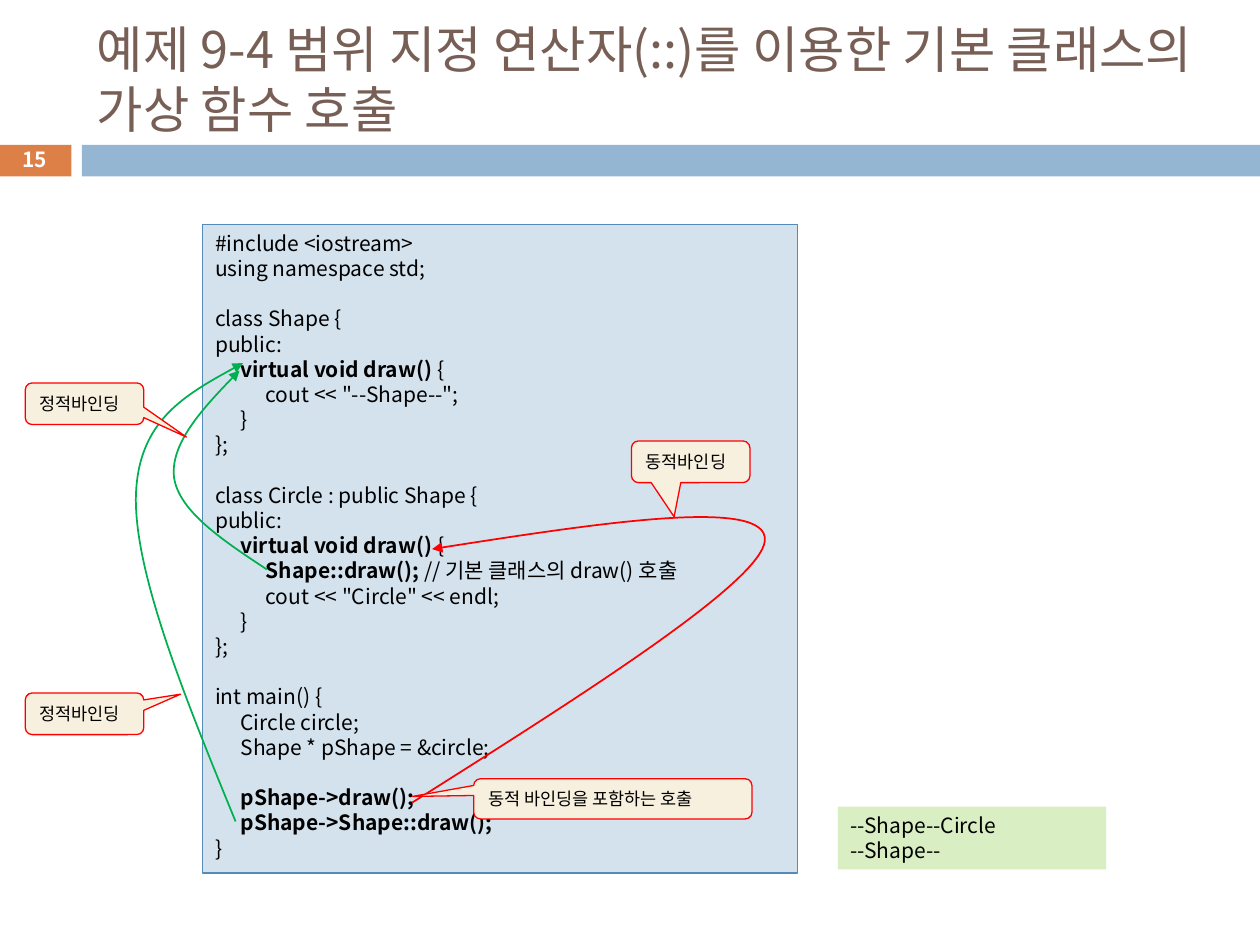
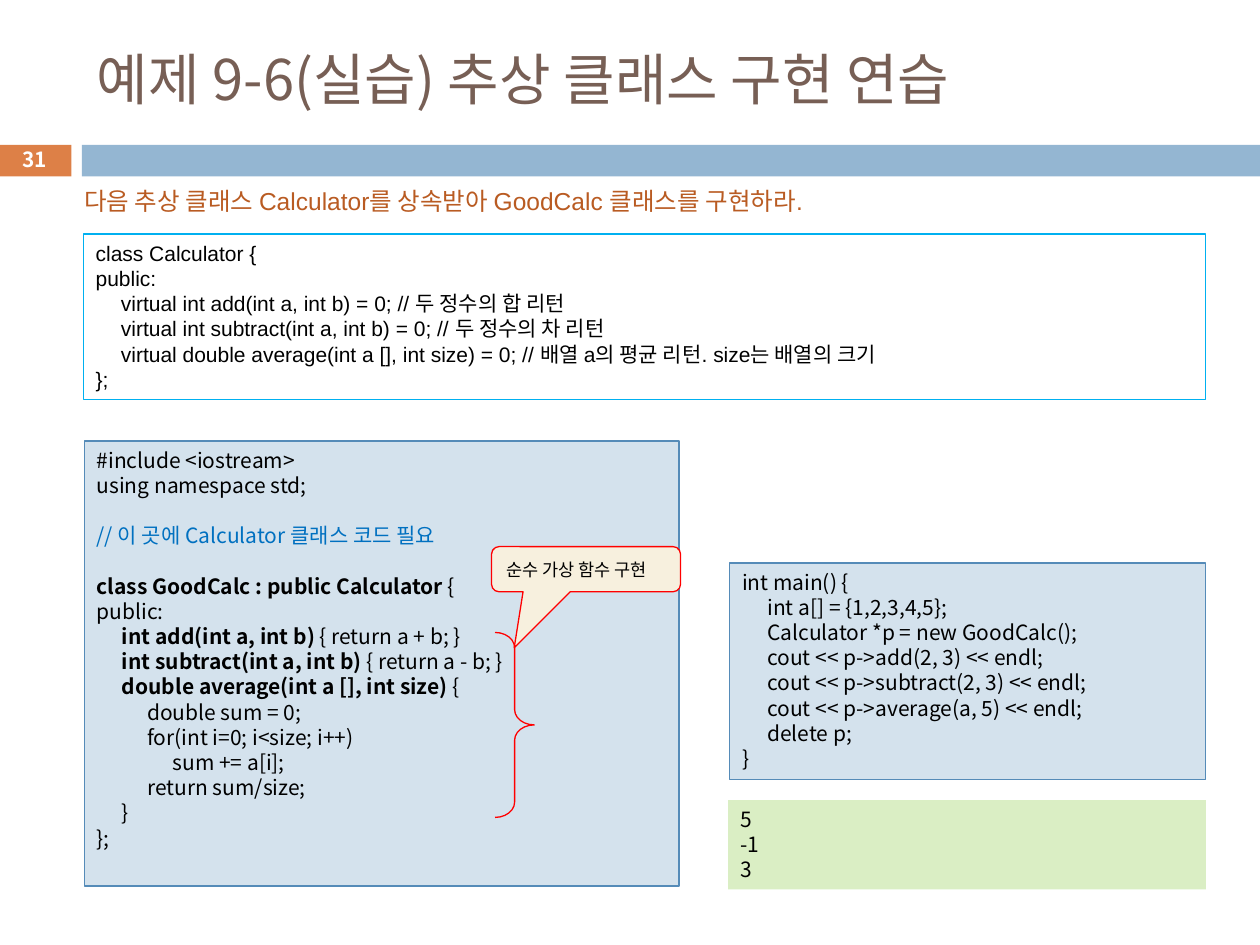
from lxml.etree import SubElement
from pptx import Presentation
from pptx.dml.color import RGBColor
from pptx.enum.shapes import MSO_SHAPE as Preset
from pptx.enum.text import MSO_ANCHOR as Anchor, MSO_AUTO_SIZE as AutoSize, PP_ALIGN as Align
from pptx.oxml.ns import qn
from pptx.util import Cm, Pt

# Shared style
BLACK = RGBColor(0x00, 0x00, 0x00)
WHITE = RGBColor(0xFF, 0xFF, 0xFF)
TITLE_BROWN = RGBColor(0x77, 0x5F, 0x55)
ORANGE = RGBColor(0xDD, 0x80, 0x47)
BAND_BLUE = RGBColor(0x94, 0xB6, 0xD2)
CODE_FILL = RGBColor(0xD4, 0xE2, 0xED)
CODE_LINE = RGBColor(0x55, 0x8B, 0xB8)
OUTPUT_GREEN = RGBColor(0xDA, 0xEE, 0xC4)
CALLOUT_CREAM = RGBColor(0xF7, 0xF0, 0xDE)
RED = RGBColor(0xFF, 0x00, 0x00)
GREEN = RGBColor(0x00, 0xB0, 0x50)
CYAN = RGBColor(0x00, 0xB0, 0xF0)
COMMENT_BLUE = RGBColor(0x00, 0x70, 0xC0)
TASK_RUST = RGBColor(0xB9, 0x5B, 0x22)

KOREAN = "Noto Sans CJK KR"
LATIN = "Arial"
CODE_SIZE = 12
LINE_FACTOR = 1.2  # line pitch relative to the text size
TAB_CM = 0.51

# Block style: font, fill, outline
BLOCK_STYLES = {
    "code": (KOREAN, CODE_FILL, CODE_LINE),
    "output": (KOREAN, OUTPUT_GREEN, None),
    "outline": (LATIN, None, CYAN),
}

# Content: boxes are left, top, width, height in cm.
# In code, ** encloses bold, tabs indent, an empty line leaves a gap.
SCOPE_CODE = """#include <iostream>
using namespace std;

class Shape {
public:
	**virtual void draw()** {
		cout << "--Shape--";
	}
};

class Circle : public Shape {
public:
	**virtual void draw()** {
		**Shape::draw();** // 기본 클래스의 draw() 호출
		cout << "Circle" << endl;
	}
};

int main() {
	Circle circle;
	Shape * pShape = &circle;

	**pShape->draw();**
	**pShape->Shape::draw();**
}"""

ABSTRACT_CODE = """class Calculator {
public:
	virtual int add(int a, int b) = 0; // 두 정수의 합 리턴
	virtual int subtract(int a, int b) = 0; // 두 정수의 차 리턴
	virtual double average(int a [], int size) = 0; // 배열 a의 평균 리턴. size는 배열의 크기
};"""

GOODCALC_CODE = """#include <iostream>
using namespace std;

// 이 곳에 Calculator 클래스 코드 필요

**class GoodCalc : public Calculator** {
public:
	**int add(int a, int b)** { return a + b; }
	**int subtract(int a, int b)** { return a - b; }
	**double average(int a [], int size)** {
		double sum = 0;
		for(int i=0; i<size; i++)
			sum += a[i];
		return sum/size;
	}
};"""

MAIN_CODE = """int main() {
	int a[] = {1,2,3,4,5};
	Calculator *p = new GoodCalc();
	cout << p->add(2, 3) << endl;
	cout << p->subtract(2, 3) << endl;
	cout << p->average(a, 5) << endl;
	delete p;
}"""

SLIDES = [
    {
        "number": "15",
        "title": "예제 9-4 범위 지정 연산자(::)를 이용한 기본 클래스의 가상 함수 호출",
        "title_size": 28.8,
        "blocks": [
            ("code", (4.09, 4.52, 11.99, 13.08), SCOPE_CODE),
            ("output", (16.89, 16.26, 5.41, 1.27), "--Shape--Circle\n--Shape--"),
        ],
        # Each call arrow: colour, start, then control, control, end per curve
        "calls": [
            (GREEN, [(5.38, 11.48), (4.5, 10.9), (3.61, 10.31), (3.51, 9.63),
                     (3.43, 8.97), (4.11, 8.2), (4.83, 7.47)]),
            (GREEN, [(4.75, 16.56), (3.73, 14.07), (2.72, 11.58), (2.74, 10.03),
                     (2.77, 8.48), (3.84, 7.9), (4.9, 7.32)]),
            (RED, [(8.31, 16.18), (11.81, 13.97), (15.34, 11.73), (15.42, 10.9),
                   (15.49, 10.03), (12.09, 10.54), (8.71, 11.07)]),
        ],
        # Each callout: text, box, tip offset from its centre
        "callouts": [
            ("동적바인딩", (12.73, 8.89, 2.39, 0.84), (-0.14, 1.32)),
            ("동적 바인딩을 포함하는 호출", (9.55, 15.7, 5.61, 0.81), (-0.72, -0.06)),
            ("정적바인딩", (0.51, 13.97, 2.39, 0.84), (0.81, -0.47)),
            ("정적바인딩", (0.51, 7.72, 2.39, 0.84), (0.86, 0.8)),
        ],
    },
    {
        "number": "31",
        "title": "예제 9-6(실습) 추상 클래스 구현 연습",
        "title_size": 32,
        "task": "다음 추상 클래스 Calculator를 상속받아 GoodCalc 클래스를 구현하라.",
        "blocks": [
            ("code", (1.7, 8.89, 11.99, 8.97), GOODCALC_CODE),
            ("code", (14.71, 11.35, 9.6, 4.37), MAIN_CODE),
            ("output", (14.68, 16.13, 9.63, 1.8), "5\n-1\n3"),
            ("outline", (1.68, 4.72, 22.63, 3.33), ABSTRACT_CODE),
        ],
        "callouts": [
            ("순수 가상 함수 구현", (9.91, 11.02, 3.81, 0.91), (-0.38, 1.74)),
        ],
        "brace": (9.98, 12.75, 0.79, 3.73),
    },
]


def to_cm(values):
    return [Cm(value) for value in values]


def paint(shape, fill=None, outline=None, width=0.75):
    shape.shadow.inherit = False
    if fill is None:
        shape.fill.background()
    else:
        shape.fill.solid()
        shape.fill.fore_color.rgb = fill
    if outline is None:
        shape.line.fill.background()
    else:
        shape.line.color.rgb = outline
        shape.line.width = Pt(width)


def format_paragraph(paragraph, size, color, font=KOREAN, align=Align.LEFT):
    paragraph.alignment = align
    paragraph.line_spacing = Pt(size * LINE_FACTOR)
    for run in paragraph.runs:
        run.font.size = Pt(size)
        run.font.color.rgb = color
        run.font.name = font
        SubElement(run.font._element, qn("a:ea"), typeface=KOREAN)


def write_line(shape, text, size, color, anchor=Anchor.MIDDLE, **style):
    frame = shape.text_frame
    frame.text = text
    frame.word_wrap = True
    frame.auto_size = AutoSize.NONE
    frame.vertical_anchor = anchor
    format_paragraph(frame.paragraphs[0], size, color, **style)


def add_preset(slide, preset, box, fill=None, outline=None):
    shape = slide.shapes.add_shape(preset, *to_cm(box))
    paint(shape, fill, outline)
    return shape


def add_frame(slide, number, title, title_size):
    """Bands, page number and title common to every slide."""
    add_preset(slide, Preset.RECTANGLE, (-0.03, 2.92, 1.47, 0.64), ORANGE)
    add_preset(slide, Preset.RECTANGLE, (1.65, 2.92, 23.75, 0.64), BAND_BLUE)
    heading = slide.shapes.title
    heading.left, heading.top, heading.width, heading.height = to_cm((1.7, 0.64, 22.66, 1.88))
    write_line(heading, title, title_size, TITLE_BROWN)
    page = slide.shapes.add_textbox(*to_cm((-0.03, 2.87, 1.47, 0.69)))
    write_line(page, number, 11.9, WHITE, align=Align.CENTER)
    page.text_frame.paragraphs[0].runs[0].font.bold = True


def add_block(slide, kind, box, code):
    font, fill, outline = BLOCK_STYLES[kind]
    frame = add_preset(slide, Preset.RECTANGLE, box, fill, outline).text_frame
    frame.word_wrap = True
    frame.vertical_anchor = Anchor.TOP
    paragraph, gap = frame.paragraphs[0], 0
    for index, line in enumerate(code.split("\n")):
        if not line:
            gap += CODE_SIZE * LINE_FACTOR
            continue
        if index:
            paragraph = frame.add_paragraph()
        statement = line.lstrip("\t")
        for position, piece in enumerate(statement.split("**")):
            if piece:
                run = paragraph.add_run()
                run.text = piece
                run.font.bold = position % 2 == 1
        color = COMMENT_BLUE if statement.startswith("//") else BLACK
        format_paragraph(paragraph, CODE_SIZE, color, font)
        paragraph.space_before = Pt(gap)
        gap = 0
        depth = len(line) - len(statement)
        paragraph._p.get_or_add_pPr().set("marL", str(Cm(TAB_CM * depth)))


def add_call(slide, color, points):
    """Curved arrow: every three points after the start form one Bezier."""
    start, *rest = [to_cm(point) for point in points]
    builder = slide.shapes.build_freeform(*start)
    builder.add_line_segments(rest, close=False)
    arrow = builder.convert_to_shape()
    paint(arrow, outline=color, width=1)
    SubElement(arrow._element.spPr.find(qn("a:ln")), qn("a:tailEnd"), type="triangle")
    steps = list(arrow._element.iter(qn("a:lnTo")))
    outline = steps[0].getparent()
    for first in range(0, len(steps), 3):
        curve = SubElement(outline, qn("a:cubicBezTo"))
        for step in steps[first:first + 3]:
            curve.append(step[0])
            outline.remove(step)


def add_callout(slide, text, box, tip):
    callout = add_preset(slide, Preset.ROUNDED_RECTANGULAR_CALLOUT, box, CALLOUT_CREAM, RED)
    callout.adjustments[0], callout.adjustments[1] = tip
    write_line(callout, text, 10, BLACK)


def main():
    deck = Presentation()
    deck.slide_width, deck.slide_height = Cm(25.4), Cm(19.05)
    title_only = deck.slide_layouts[5]
    for content in SLIDES:
        slide = deck.slides.add_slide(title_only)
        add_frame(slide, content["number"], content["title"], content["title_size"])
        for block in content["blocks"]:
            add_block(slide, *block)
        for call in content.get("calls", []):
            add_call(slide, *call)
        for callout in content["callouts"]:
            add_callout(slide, *callout)
        if "brace" in content:
            brace = add_preset(slide, Preset.RIGHT_BRACE, content["brace"], outline=RED)
            brace.adjustments[0] = 0.39
        if "task" in content:
            task = slide.shapes.add_textbox(*to_cm((1.45, 3.61, 16.26, 0.86)))
            write_line(task, content["task"], 14, TASK_RUST, font=LATIN)
    deck.save("out.pptx")


if __name__ == "__main__":
    main()
